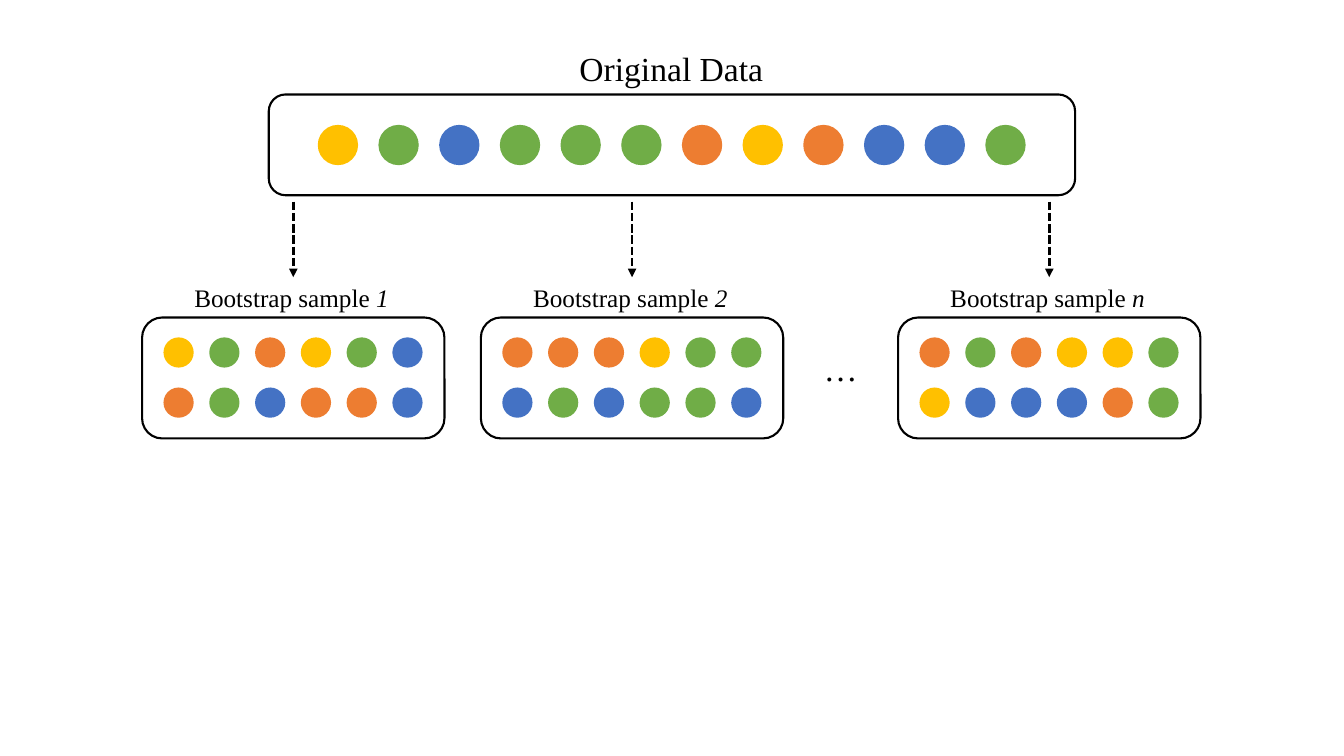
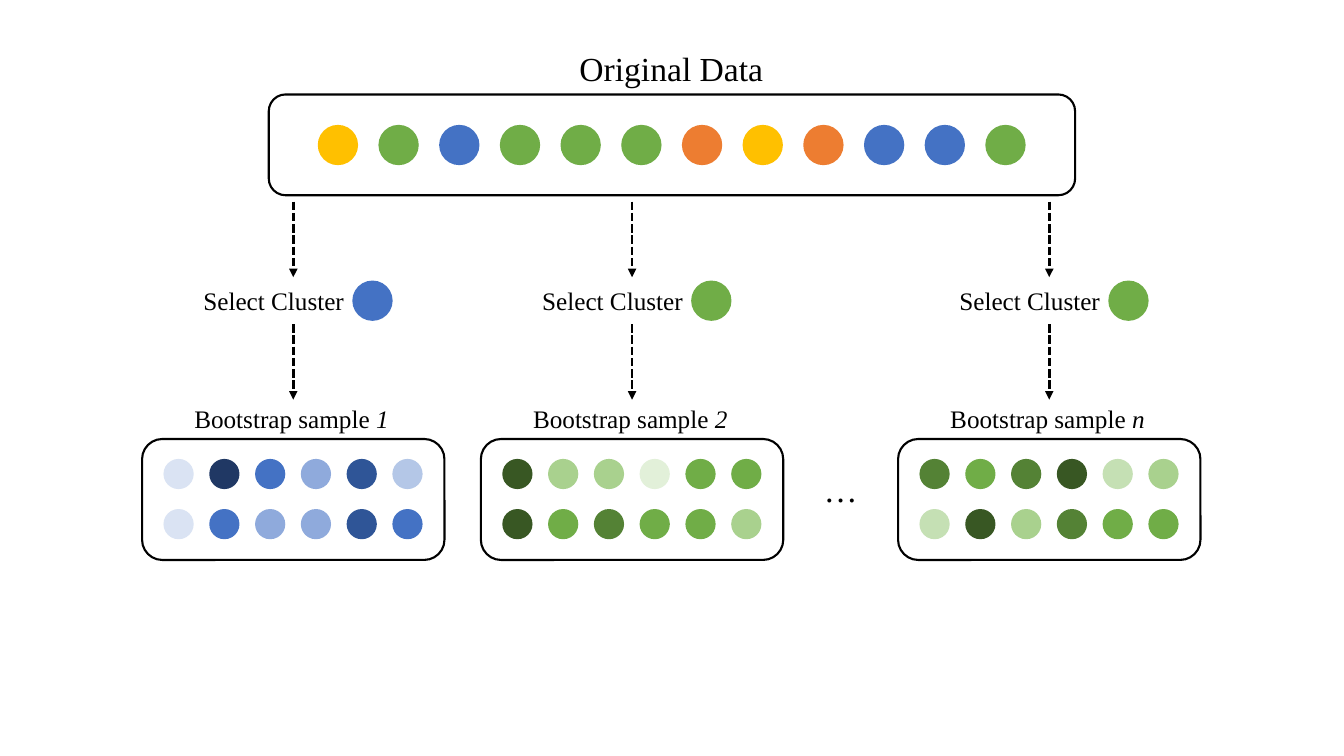
from lxml.etree import SubElement
from pptx import Presentation
from pptx.dml.color import RGBColor
from pptx.enum.dml import MSO_LINE
from pptx.enum.shapes import MSO_CONNECTOR, MSO_SHAPE
from pptx.enum.text import MSO_ANCHOR, MSO_AUTO_SIZE, PP_ALIGN
from pptx.oxml.ns import qn
from pptx.util import Pt

THEME = {
    "font": "Times New Roman",
    "title": 24,
    "label": 18,
    "outline": 1.5,
    "arrow": 2,
    "ink": "000000",
    "dots": {
        "Y": "FFC000", "O": "ED7D31",
        "N": "203864", "R": "2F5597", "B": "4472C4",
        "S": "8FAADC", "C": "B4C7E7", "I": "DAE3F3",
        "K": "385723", "F": "548235", "G": "70AD47",
        "M": "A9D18E", "L": "C5E0B4", "P": "E2F0D9",
    },
}
INK = RGBColor.from_string(THEME["ink"])

ORIGINAL = "YGBGGGOYOBBG"
SAMPLE_X = [101.5, 343.5, 641.5]
SAMPLE_NAMES = ["1", "2", "n"]
SAMPLE_W, SAMPLE_H = 216, 86.4
DIAGRAMS = [
    {
        "sample_top": 226.8,
        "clusters": "",
        "samples": [("YGOYGB", "OGBOOB"), ("OOOYGG", "BGBGGB"), ("OGOYYG", "YBBBOG")],
    },
    {
        "sample_top": 313.6,
        "clusters": "BGG",
        "samples": [("INBSRC", "IBSSRB"), ("KMMPGG", "KGFGGM"), ("FGFKLM", "LKMFGG")],
    },
]


def add_form(s, kind, x, y, w, h, dot=None):
    sp = s.shapes.add_shape(kind, Pt(x), Pt(y), Pt(w), Pt(h))
    sp.shadow.inherit = False
    if dot:
        sp.fill.solid()
        sp.fill.fore_color.rgb = RGBColor.from_string(THEME["dots"][dot])
        sp.line.fill.background()
    else:
        sp.fill.background()
        sp.line.color.rgb = INK
        sp.line.width = Pt(THEME["outline"])


def add_label(s, x, y, w, h, size, runs, **frame):
    tf = s.shapes.add_textbox(Pt(x), Pt(y), Pt(w), Pt(h)).text_frame
    align = frame.pop("align", PP_ALIGN.LEFT)
    frame = {"word_wrap": False, "auto_size": MSO_AUTO_SIZE.SHAPE_TO_FIT_TEXT, **frame}
    for name, value in frame.items():
        setattr(tf, name, value)
    p = tf.paragraphs[0]
    p.alignment = align
    for text, italic in runs:
        r = p.add_run()
        r.text = text
        r.font.color.rgb = INK
        for name, value in {"name": THEME["font"], "size": Pt(size), "italic": italic}.items():
            setattr(r.font, name, value)


prs = Presentation()
prs.slide_width, prs.slide_height = Pt(960), Pt(540)

for diagram in DIAGRAMS:
    s = prs.slides.add_slide(prs.slide_layouts[6])
    top = diagram["sample_top"]

    add_label(s, 406.8, 31, 147, 36, THEME["title"], [("Original Data", None)])
    add_form(s, MSO_SHAPE.ROUNDED_RECTANGLE, 192, 67.5, 576, 72)
    for i, dot in enumerate(ORIGINAL):
        add_form(s, MSO_SHAPE.OVAL, 227 + 43.35 * i, 89.2, 28.8, 28.8, dot)

    arrow_tops = [144]
    if diagram["clusters"]:
        arrow_tops.append(231.5)

    for x, name, rows in zip(SAMPLE_X, SAMPLE_NAMES, diagram["samples"]):
        add_form(s, MSO_SHAPE.ROUNDED_RECTANGLE, x, top, SAMPLE_W, SAMPLE_H)
        add_label(s, x + 30.2, top - 29, 155, 29, THEME["label"],
                  [("Bootstrap sample ", None), (name, True)])
        for j, row in enumerate(rows):
            for i, dot in enumerate(row):
                add_form(s, MSO_SHAPE.OVAL, x + 15.3 + 32.7 * i, top + 14.2 + 35.8 * j,
                         21.6, 21.6, dot)
        for y in arrow_tops:
            center = x + SAMPLE_W / 2
            arrow = s.shapes.add_connector(
                MSO_CONNECTOR.STRAIGHT, Pt(center), Pt(y), Pt(center), Pt(y + 54))
            arrow.line.color.rgb = INK
            arrow.line.width = Pt(THEME["arrow"])
            arrow.line.dash_style = MSO_LINE.SQUARE_DOT
            SubElement(arrow.line._get_or_add_ln(), qn("a:tailEnd"), type="triangle")
            SubElement(arrow._element.spPr, qn("a:effectLst"))

    for x, dot in zip(SAMPLE_X, diagram["clusters"]):
        add_label(s, x + 36.7, 200.2, 142.5, 29, THEME["label"],
                  [("Select Cluster", None)], word_wrap=True)
        add_form(s, MSO_SHAPE.OVAL, x + 150.2, 200.4, 28.8, 28.8, dot)

    add_label(s, 581, top + 18, 39, 36, THEME["title"], [("…", None)],
              align=PP_ALIGN.CENTER, vertical_anchor=MSO_ANCHOR.MIDDLE)

prs.save("out.pptx")
